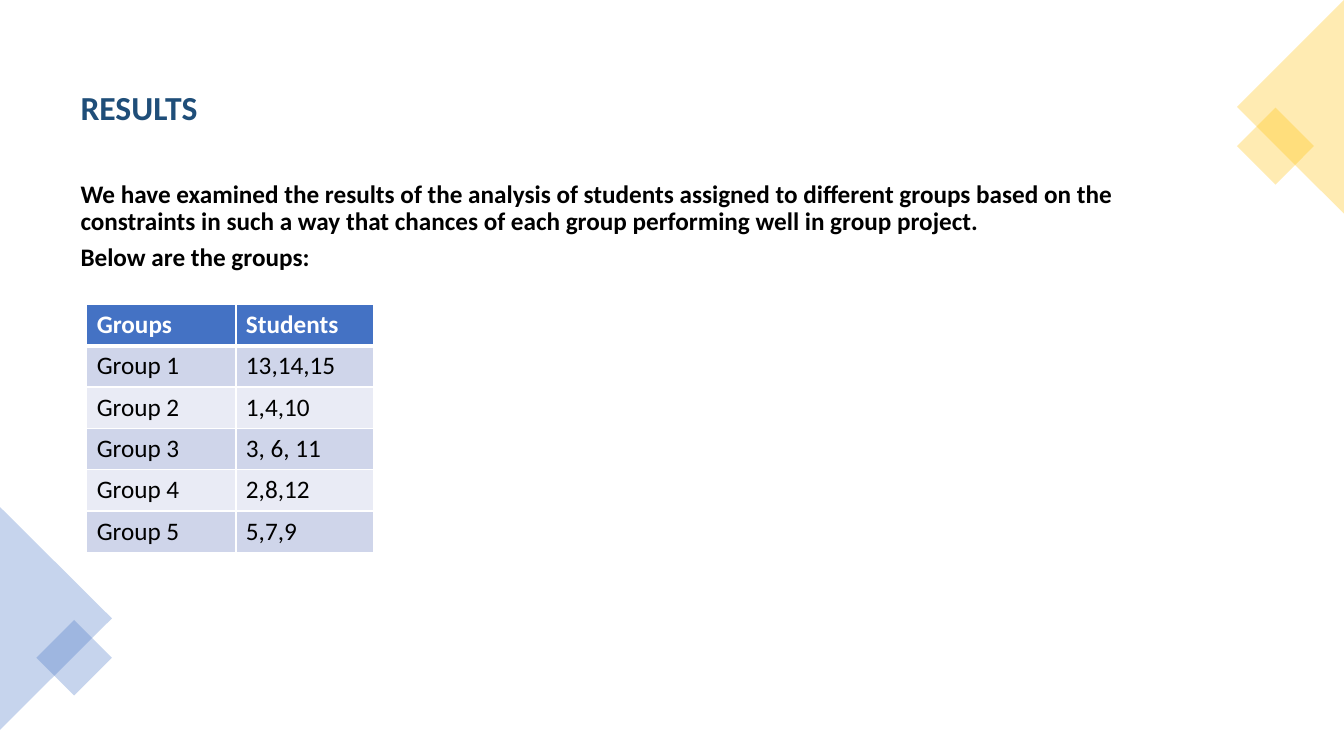
"""Build the results slide with its table of student groups."""
from dataclasses import dataclass

from lxml.etree import SubElement
from pptx import Presentation
from pptx.dml.color import RGBColor
from pptx.enum.shapes import MSO_SHAPE as Preset
from pptx.oxml.ns import qn
from pptx.slide import Slide
from pptx.table import _Cell as Cell
from pptx.text.text import _Paragraph as Paragraph
from pptx.util import Inches, Pt


@dataclass(frozen=True)
class Theme:
    """Colours, type sizes and the font."""
    font: str = "Calibri"
    blue: str = "4472C4"
    gold: str = "FFC000"
    title: str = "1F4E79"
    white: str = "FFFFFF"
    black: str = "000000"
    bands: tuple[str, str] = ("CFD5EA", "E9EBF5")
    title_size: int = 24
    body_size: int = 18


@dataclass(frozen=True)
class Ornament:
    """A translucent corner shape, measured in inches."""
    preset: Preset
    left: float
    top: float
    width: float
    height: float
    rotation: int
    colour: str


@dataclass(frozen=True)
class TextLine:
    """A paragraph and the space after it in points."""
    text: str
    size: int
    colour: str
    space_after: float = 6


THEME = Theme()
ORNAMENTS = (
    Ornament(Preset.ISOSCELES_TRIANGLE, -0.55, 5.58, 2.21, 1.11, 90, THEME.blue),
    Ornament(Preset.RECTANGLE, 0.47, 6.26, 0.53, 0.53, 45, THEME.blue),
    Ornament(Preset.RECTANGLE, 12.38, 1.18, 0.54, 0.54, 45, THEME.gold),
    Ornament(Preset.ISOSCELES_TRIANGLE, 11.74, 0.53, 2.12, 1.06, 270, THEME.gold),
)
TEXT_LINES = (
    TextLine("RESULTS", THEME.title_size, THEME.title, 38.4),
    TextLine("We have examined the results of the analysis of students assigned to "
             "different groups based on the constraints in such a way that chances of "
             "each group performing well in group project.",
             THEME.body_size, THEME.black),
    TextLine("Below are the groups:", THEME.body_size, THEME.black),
)
STUDENTS = ("13,14,15", "1,4,10", "3, 6, 11", "2,8,12", "5,7,9")
COLUMN_WIDTHS = (1.48, 1.37)
ROW_HEIGHT = 0.41


def write_text(paragraph: Paragraph, text: str, size: int, colour: str, bold: bool) -> None:
    """Add one formatted run to a paragraph."""
    run = paragraph.add_run()
    run.text = text
    for name, value in {"name": THEME.font, "size": Pt(size), "bold": bold}.items():
        setattr(run.font, name, value)
    run.font.color.rgb = RGBColor.from_string(colour)


def draw_ornament(slide: Slide, ornament: Ornament) -> None:
    """Draw a rotated shape at 30 percent opacity."""
    box = (ornament.left, ornament.top, ornament.width, ornament.height)
    shape = slide.shapes.add_shape(ornament.preset, *map(Inches, box))
    shape.rotation = ornament.rotation
    shape.shadow.inherit = False
    shape.line.fill.background()
    shape.fill.solid()
    shape.fill.fore_color.rgb = RGBColor.from_string(ornament.colour)
    colour = shape.fill._xPr.find(f".//{qn('a:srgbClr')}")
    SubElement(colour, qn("a:alpha"), val="30000")


def draw_text(slide: Slide, lines: tuple[TextLine, ...]) -> None:
    """Draw the heading and the introduction in one text box."""
    frame = slide.shapes.add_textbox(*map(Inches, (0.7, 0.86, 11.35, 5.93))).text_frame
    frame.word_wrap = True
    for index, line in enumerate(lines):
        paragraph = frame.add_paragraph() if index else frame.paragraphs[0]
        spacing = {"line_spacing": 0.9, "space_after": Pt(line.space_after)}
        for name, value in spacing.items():
            setattr(paragraph, name, value)
        write_text(paragraph, line.text, line.size, line.colour, True)


def set_borders(cell: Cell, widths: dict[str, int]) -> None:
    """Give a cell white borders, with widths in points by side."""
    properties = cell._tc.get_or_add_tcPr()
    for side, width in widths.items():
        border = SubElement(properties, qn(f"a:ln{side}"), w=str(Pt(width)))
        fill = SubElement(border, qn("a:solidFill"))
        SubElement(fill, qn("a:srgbClr"), val=THEME.white)


def draw_table(slide: Slide, rows: list[tuple[str, str]]) -> None:
    """Draw the table with a blue header and banded rows."""
    box = (0.86, 3.02, sum(COLUMN_WIDTHS), ROW_HEIGHT * len(rows))
    table = slide.shapes.add_table(len(rows), len(COLUMN_WIDTHS), *map(Inches, box)).table
    for column, width in zip(table.columns, COLUMN_WIDTHS):
        column.width = Inches(width)
    for index, (row, values) in enumerate(zip(table.rows, rows)):
        row.height = Inches(ROW_HEIGHT)
        header = index == 0
        background = THEME.blue if header else THEME.bands[(index - 1) % 2]
        colour = THEME.white if header else THEME.black
        borders = {"L": 1, "R": 1, "T": 3 if index == 1 else 1, "B": 3 if header else 1}
        for cell, value in zip(row.cells, values):
            set_borders(cell, borders)
            cell.fill.solid()
            cell.fill.fore_color.rgb = RGBColor.from_string(background)
            write_text(cell.text_frame.paragraphs[0], value, THEME.body_size, colour, header)


def main() -> None:
    """Assemble and save the presentation."""
    presentation = Presentation()
    presentation.slide_width = Inches(13.33)
    presentation.slide_height = Inches(7.5)
    slide = presentation.slides.add_slide(presentation.slide_layouts[6])
    for ornament in ORNAMENTS:
        draw_ornament(slide, ornament)
    draw_text(slide, TEXT_LINES)
    groups = [(f"Group {number}", names) for number, names in enumerate(STUDENTS, 1)]
    draw_table(slide, [("Groups", "Students"), *groups])
    presentation.save("out.pptx")


if __name__ == "__main__":
    main()
